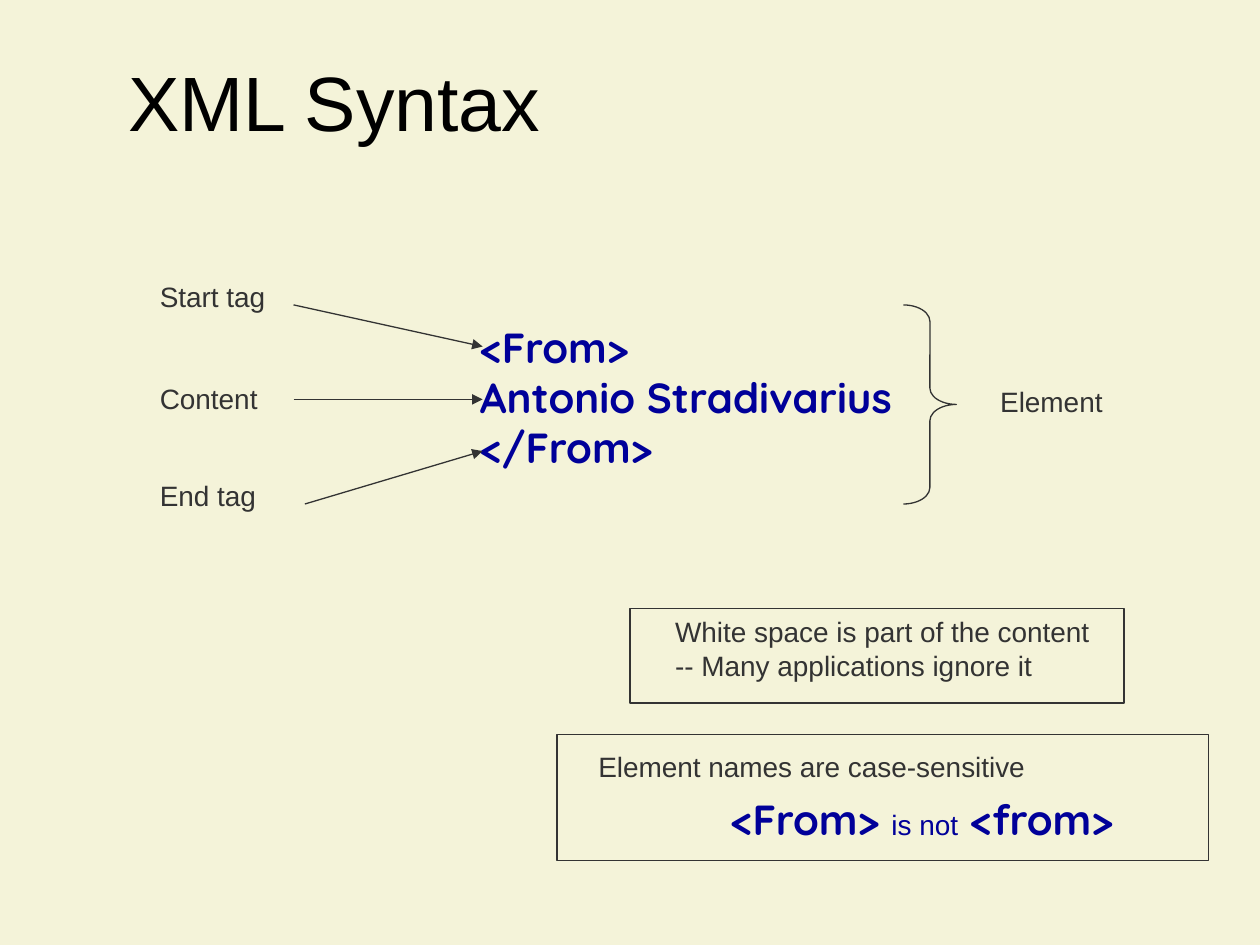
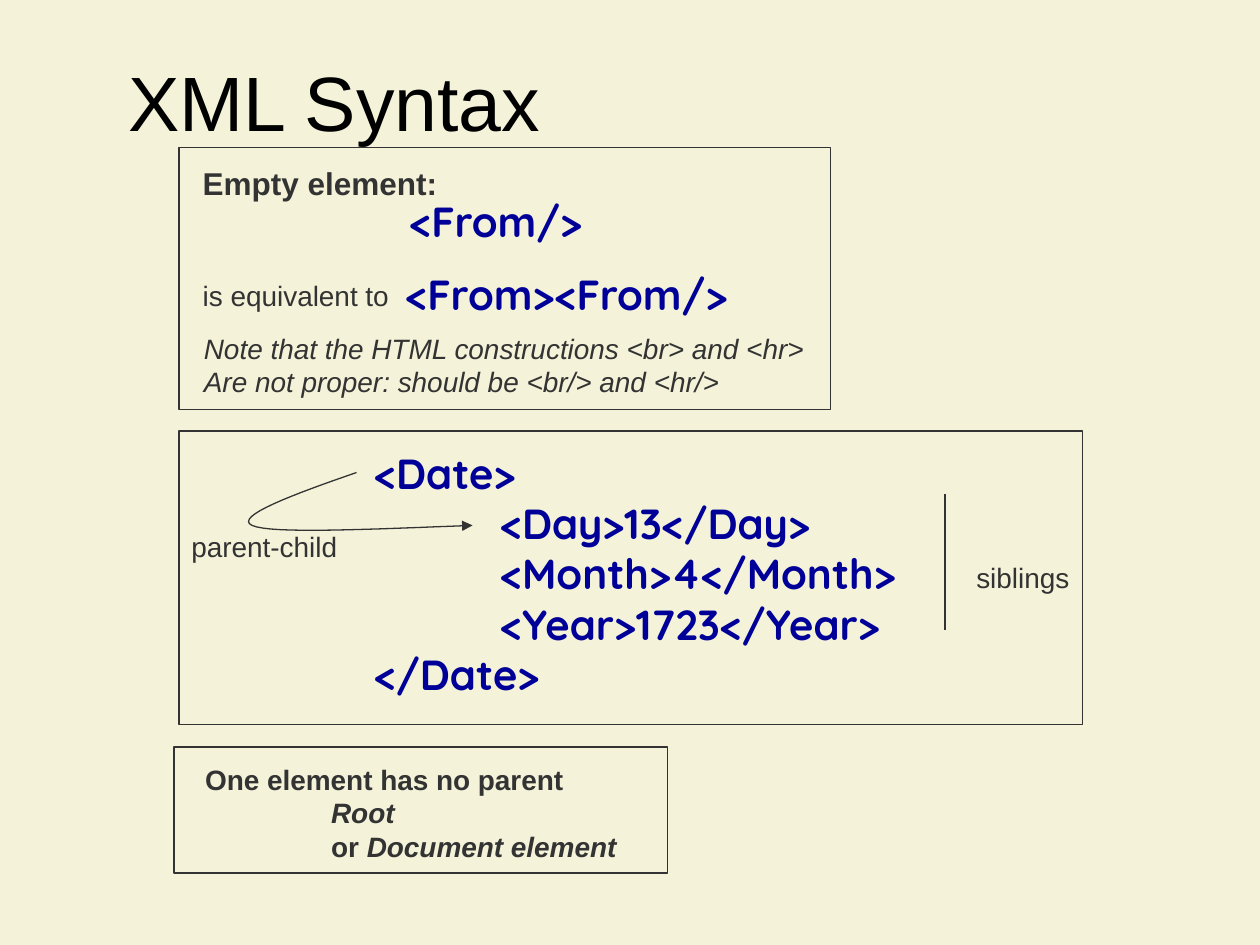
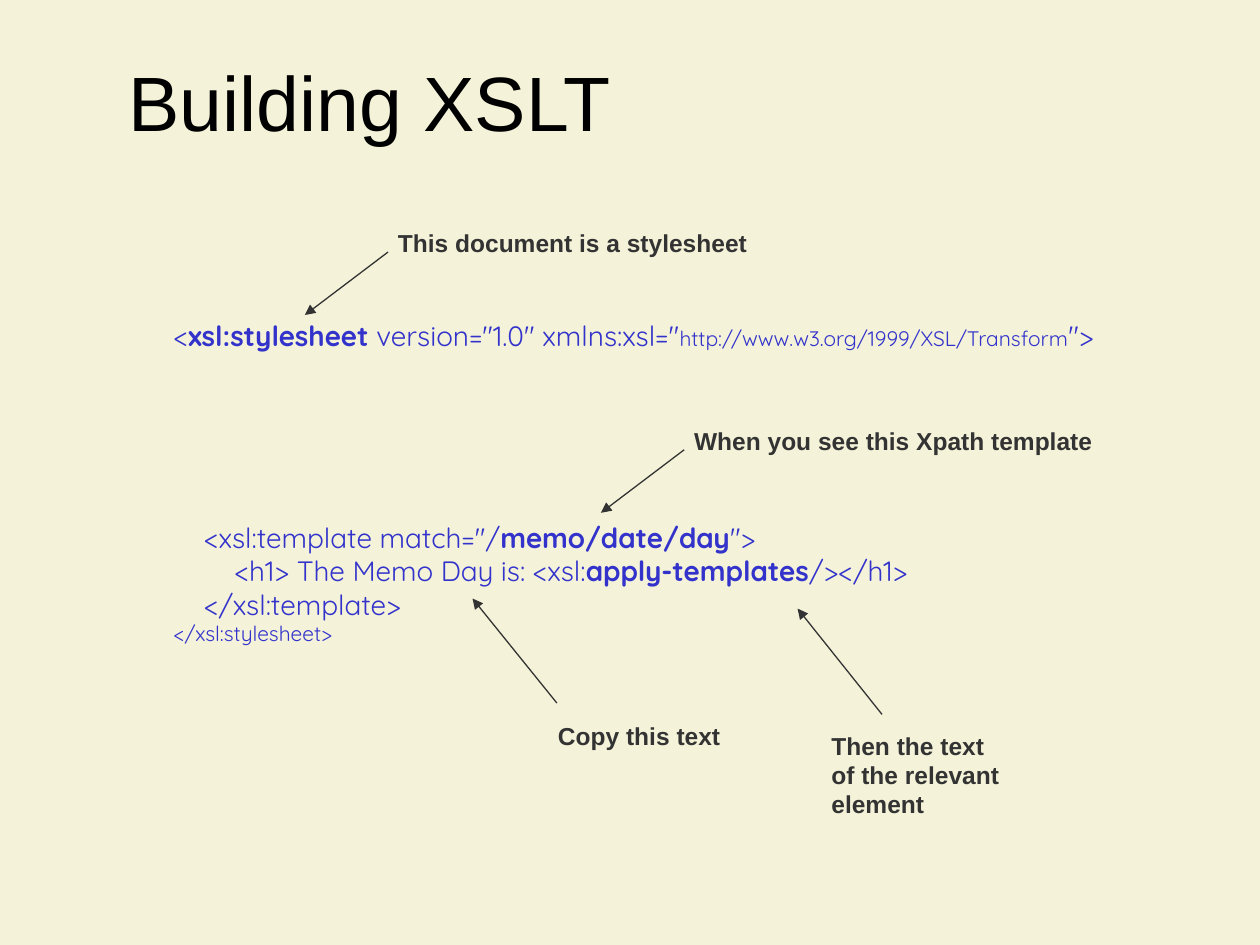
import dataclasses

import lxml.etree
import pptx
import pptx.dml.color
import pptx.enum.shapes
import pptx.enum.text
import pptx.oxml.ns
import pptx.util

Inches = pptx.util.Inches
Pt = pptx.util.Pt
SHAPE = pptx.enum.shapes.MSO_SHAPE
FIT = pptx.enum.text.MSO_AUTO_SIZE
qn = pptx.oxml.ns.qn


@dataclasses.dataclass(frozen=True)
class Style:
    size: int
    font: str
    color: str
    bold: bool = False
    slant: bool = False


@dataclasses.dataclass(frozen=True)
class Theme:
    back: str = "F4F3D9"
    ink: str = "333333"
    line: float = 0.75
    title: Style = Style(44, "Arial", "000000")
    label: Style = Style(16, "Arial", "333333")
    head: Style = Style(18, "Arial", "333333", bold=True)
    strong: Style = Style(16, "Arial", "333333", bold=True)
    term: Style = Style(16, "Arial", "333333", bold=True, slant=True)
    aside: Style = Style(16, "Arial", "333333", slant=True)
    call: Style = Style(14, "Arial", "333333", bold=True)
    tag: Style = Style(24, "Quicksand", "000099", bold=True)
    link: Style = Style(16, "Arial", "000099")
    code: Style = Style(16, "Quicksand", "3333CC")
    key: Style = Style(16, "Quicksand", "3333CC", bold=True)
    small: Style = Style(12, "Quicksand", "3333CC")


T = Theme()


def rgb(color):
    return pptx.dml.color.RGBColor.from_string(color)


def dress(font, style):
    font.size = Pt(style.size)
    font.name = style.font
    font.bold = style.bold
    font.italic = style.slant
    font.color.rgb = rgb(style.color)


def place(box, part):
    x, y, w, h = part
    return [Inches(n) for n in (box[0] + x, box[1] + y, w, h)]


def write(slide, box, part, lines, style, indent=()):
    shape = slide.shapes.add_textbox(*place(box, part))
    frame = shape.text_frame
    frame.word_wrap = True
    frame.auto_size = FIT.SHAPE_TO_FIT_TEXT
    for i, line in enumerate(lines):
        para = frame.paragraphs[0] if i == 0 else frame.add_paragraph()
        if i in indent:
            para._p.get_or_add_pPr().set("marL", str(Inches(1)))
        if isinstance(line, str):
            para.text = line
            dress(para.font, style)
        else:
            for words, look in line:
                run = para.add_run()
                run.text = words
                dress(run.font, look)
    return frame


def stroke(shape, arrow=False):
    shape.line.color.rgb = rgb(T.ink)
    shape.line.width = Pt(T.line)
    if arrow:
        ln = shape.line._get_or_add_ln()
        lxml.etree.SubElement(ln, qn("a:tailEnd"), type="triangle")


def outline(shape, arrow=False):
    shape.shadow.inherit = False
    shape.fill.background()
    stroke(shape, arrow)


def border(slide, box):
    outline(slide.shapes.add_shape(SHAPE.RECTANGLE, *place(box, (0, 0, *box[2:]))))


def join(slide, box, start, end, arrow=True):
    ends = [Inches(box[i] + p[i]) for p in (start, end) for i in (0, 1)]
    link = slide.shapes.add_connector(pptx.enum.shapes.MSO_CONNECTOR.STRAIGHT, *ends)
    stroke(link, arrow)
    lxml.etree.SubElement(link._element.spPr, qn("a:effectLst"))


def bend(points, steps=16):
    a, b, c, d = points
    for n in range(1, steps + 1):
        t = n / steps
        u = 1 - t
        yield tuple(
            u**3 * a[i] + 3 * u * u * t * b[i] + 3 * u * t * t * c[i] + t**3 * d[i]
            for i in (0, 1)
        )


def swoop(slide, box, start, curves):
    def spot(p):
        return Inches(box[0] + p[0]), Inches(box[1] + p[1])

    pen = slide.shapes.build_freeform(*spot(start))
    for curve in curves:
        pen.add_line_segments([spot(p) for p in bend((start, *curve))], close=False)
        start = curve[-1]
    outline(pen.convert_to_shape(), arrow=True)


def page(deck, title):
    slide = deck.slides.add_slide(deck.slide_layouts[6])
    frame = write(slide, (0.92, 0.17), (0, 0, 8.5, 1.25), [title], T.title)
    frame.auto_size = FIT.NONE
    frame.vertical_anchor = pptx.enum.text.MSO_ANCHOR.MIDDLE
    return slide


def anatomy(slide, box):
    lines = ["<From>", "Antonio Stradivarius", "</From>"]
    write(slide, box, (2.54, 0.33, 3.7, 1.3), lines, T.tag)
    rows = (
        ("Start tag", 0, (1.16, 0.25), 0.58),
        ("Content", 0.81, (1.16, 1), 1),
        ("End tag", 1.58, (1.25, 1.83), 1.41),
    )
    for name, top, start, end in rows:
        write(slide, box, (0, top, 1.1, 0.37), [name], T.label)
        join(slide, box, start, (2.66, end))
    brace = slide.shapes.add_shape(SHAPE.RIGHT_BRACE, *place(box, (6, 0.25, 0.42, 1.58)))
    brace.adjustments[0] = 0.31
    outline(brace)
    write(slide, box, (6.67, 0.83, 1.1, 0.37), ["Element"], T.label)


def space(slide, box):
    border(slide, box)
    lines = ["White space is part of the content", "-- Many applications ignore it"]
    write(slide, box, (0.26, 0, 3.55, 0.64), lines, T.label)


def naming(slide, box):
    border(slide, box)
    write(slide, box, (0.23, 0.07, 3.65, 0.37), ["Element names are case-sensitive"], T.label)
    line = [("<From> ", T.tag), ("is not", T.link), (" <from>", T.tag)]
    write(slide, box, (1.28, 0.42, 3.4, 0.5), [line], T.tag)


def empty(slide, box):
    border(slide, box)
    write(slide, box, (0.09, 0.08, 2.15, 0.4), ["Empty element:"], T.head)
    write(slide, box, (1.73, 0.33, 1.65, 0.5), ["<From/>"], T.tag)
    write(slide, box, (0.09, 0.99, 1.75, 0.37), ["is equivalent to"], T.label)
    write(slide, box, (1.7, 0.91, 2.9, 0.5), ["<From><From/>"], T.tag)
    lines = [
        "Note that the HTML constructions <br> and <hr>",
        "Are not proper: should be <br/> and <hr/>",
    ]
    write(slide, box, (0.1, 1.41, 5.07, 0.64), lines, T.aside)


def family(slide, box):
    border(slide, box)
    lines = [
        "<Date>",
        "<Day>13</Day>",
        "<Month>4</Month>",
        "<Year>1723</Year>",
        "</Date>",
    ]
    write(slide, box, (1.45, 0.08, 4.55, 2.1), lines, T.tag, indent=(1, 2, 3))
    curves = (
        ((0.92, 0.5), (0.43, 0.68), (0.58, 0.75)),
        ((0.73, 0.82), (1.53, 0.78), (2.33, 0.75)),
    )
    swoop(slide, box, (1.41, 0.33), curves)
    write(slide, box, (0, 0.73, 1.42, 0.37), ["parent-child"], T.label)
    join(slide, box, (6.08, 0.5), (6.08, 1.58), arrow=False)
    write(slide, box, (6.23, 0.98, 1, 0.37), ["siblings"], T.label)


def root(slide, box):
    border(slide, box)
    lines = [
        "One element has no parent",
        [("Root", T.term)],
        [("or ", T.strong), ("Document element", T.term)],
    ]
    write(slide, box, (0.15, 0.07, 3.6, 0.9), lines, T.strong, indent=(1, 2))


def sheet(slide, box):
    lines = [
        [
            ("<", T.code),
            ("xsl:stylesheet", T.key),
            (' version="1.0" xmlns:xsl="', T.code),
            ("http://www.w3.org/1999/XSL/Transform", T.small),
            ('">', T.code),
        ],
        [
            ('    <xsl:template match="/', T.code),
            ("memo/date/day", T.key),
            ('">', T.code),
        ],
        [
            ("        <h1> The Memo Day is: <xsl:", T.code),
            ("apply-templates", T.key),
            ("/></h1>", T.code),
        ],
        "    </xsl:template>",
        [("</xsl:stylesheet>", T.small)],
    ]
    frame = write(slide, box, (0, 0, *box[2:]), lines, T.code)
    frame.paragraphs[1].space_before = Pt(96)


def callout(slide, box, words, start, end):
    write(slide, box, (0, 0, *box[2:]), [words], T.call)
    join(slide, box, start, end)


def main():
    deck = pptx.Presentation()
    deck.slide_width, deck.slide_height = Inches(10), Inches(7.5)
    fill = deck.slide_master.background.fill
    fill.solid()
    fill.fore_color.rgb = rgb(T.back)

    slide = page(deck, "XML Syntax")
    anatomy(slide, (1.17, 2.17, 7.77, 1.95))
    space(slide, (5, 4.83, 3.92, 0.75))
    naming(slide, (4.42, 5.83, 5.17, 1))

    slide = page(deck, "XML Syntax")
    empty(slide, (1.42, 1.17, 5.17, 2.08))
    family(slide, (1.42, 3.42, 7.17, 2.33))
    root(slide, (1.38, 5.93, 3.92, 1))

    slide = page(deck, "Building XSLT")
    sheet(slide, (1.28, 2.48, 7.95, 2.7))
    above = (0.02, 0.24), (-0.64, 0.74)
    below = (0.09, -0.09), (-0.58, -0.92)
    aside = (0.5, -0.08), (-0.17, -0.92)
    callout(slide, (3.06, 1.76, 3.05, 0.34), "This document is a stylesheet", *above)
    callout(slide, (5.41, 3.33, 3.45, 0.34), "When you see this Xpath template", *above)
    callout(slide, (4.33, 5.67, 1.58, 0.34), "Copy this text", *below)
    words = "Then the text of the relevant element"
    callout(slide, (6.5, 5.75, 1.58, 0.8), words, *aside)

    deck.save("out.pptx")


if __name__ == "__main__":
    main()
